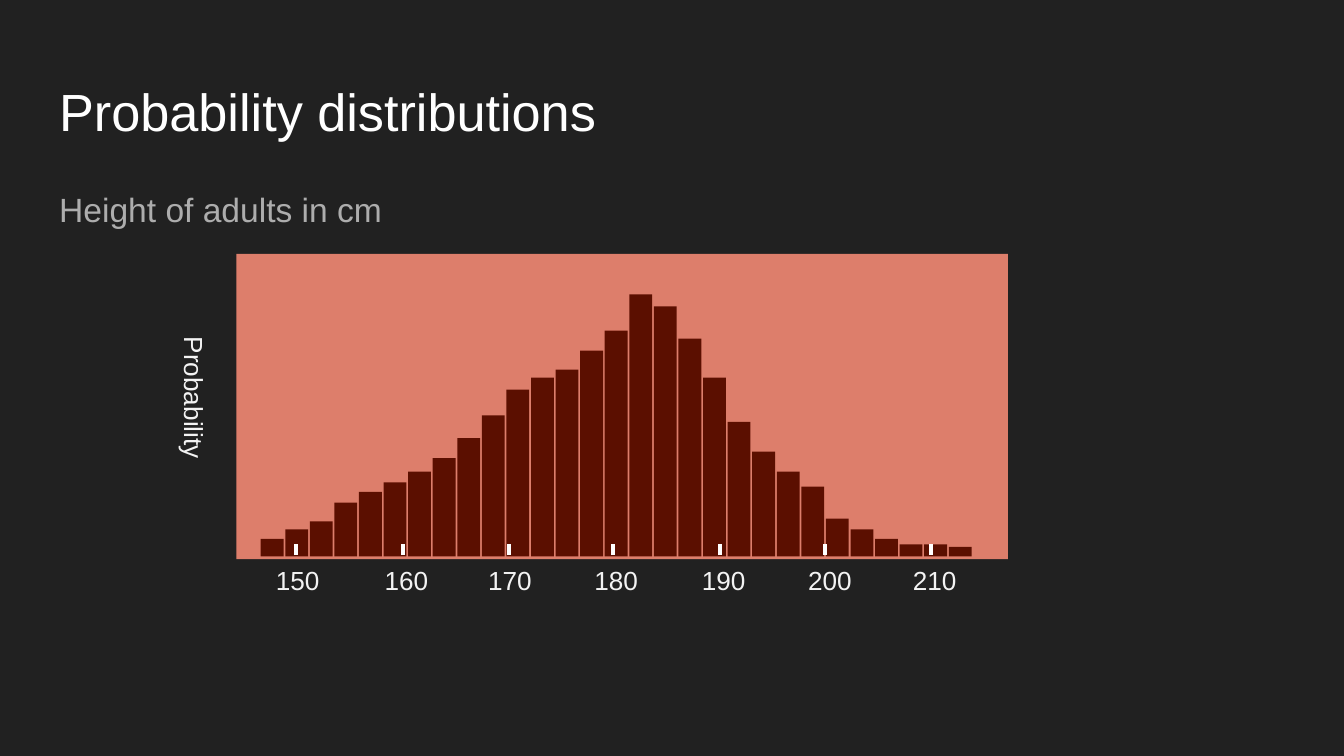
from pptx import Presentation
from pptx.dml.color import RGBColor
from pptx.enum.shapes import MSO_CONNECTOR, MSO_SHAPE
from pptx.enum.text import MSO_ANCHOR, MSO_AUTO_SIZE, PP_ALIGN
from pptx.oxml.ns import qn
from pptx.util import Inches, Pt
from lxml import etree

RECTANGLE = MSO_SHAPE.RECTANGLE
STRAIGHT = MSO_CONNECTOR.STRAIGHT
TOP = MSO_ANCHOR.TOP
NO_AUTOFIT = MSO_AUTO_SIZE.NONE
LEFT, CENTER = PP_ALIGN.LEFT, PP_ALIGN.CENTER


def color(hex_string):
    return RGBColor.from_string(hex_string)


def write(box, place, text, size, text_color, align):
    box.left, box.top, box.width, box.height = [Inches(v) for v in place]
    frame = box.text_frame
    frame.word_wrap = True
    frame.auto_size = NO_AUTOFIT
    frame.vertical_anchor = TOP
    frame.margin_left = frame.margin_right = Inches(0.1)
    frame.margin_top = frame.margin_bottom = Inches(0.1)
    para = frame.paragraphs[0]
    para.alignment = align
    para.space_before = Pt(0)
    span = para.add_run()
    span.text = text
    span.font.name = "Arial"
    span.font.size = Pt(size)
    span.font.color.rgb = color(text_color)
    return para


deck = Presentation()
deck.slide_width = Inches(10)
deck.slide_height = Inches(10) * 9 // 16
page = deck.slides.add_slide(deck.slide_layouts[1])
page.background.fill.solid()
page.background.fill.fore_color.rgb = color("212121")

write(page.shapes.title, (0.34, 0.49, 9.32, 0.63),
      "Probability distributions", 28, "FFFFFF", LEFT)
subtitle = write(page.placeholders[1], (0.34, 1.26, 9.32, 0.63),
                 "Height of adults in cm", 18, "ADADAD", LEFT)
subtitle.line_spacing = 1.15
properties = subtitle._p.get_or_add_pPr()
properties.set("marL", "0")
properties.set("indent", "0")
etree.SubElement(properties, qn("a:buNone"))

baseline = 4.14
bar_left, bar_step, bar_width = 1.94, 5.12 / 28, 0.17
bar_heights = [
    0.13, 0.2, 0.26, 0.4, 0.48, 0.55, 0.63, 0.73, 0.88, 1.05,
    1.24, 1.33, 1.39, 1.53, 1.68, 1.95, 1.86, 1.62, 1.33, 1,
    0.78, 0.63, 0.52, 0.28, 0.2, 0.13, 0.09, 0.09, 0.07,
]
rectangles = [(1.76, 1.89, 5.74, 2.27, "DD7E6B")]
for index, height in enumerate(bar_heights):
    rectangles.append((bar_left + index * bar_step, baseline - height,
                       bar_width, height, "5B0F00"))
for left, top, width, height, fill in rectangles:
    bar = page.shapes.add_shape(RECTANGLE, Inches(left), Inches(top),
                                Inches(width), Inches(height))
    bar.shadow.inherit = False
    bar.fill.solid()
    bar.fill.fore_color.rgb = color(fill)
    bar.line.fill.background()

axis_marks = [
    ("150", 2.2, 1.88), ("160", 3, 2.69), ("170", 3.79, 3.46), ("180", 4.56, 4.25),
    ("190", 5.36, 5.05), ("200", 6.14, 5.84), ("210", 6.93, 6.62),
]
for value, tick_left, label_left in axis_marks:
    tick_x = Inches(tick_left)
    tick = page.shapes.add_connector(STRAIGHT, tick_x, Inches(4.13),
                                     tick_x, Inches(4.05))
    tick.line.color.rgb = color("FFFFFF")
    tick.line.width = Pt(2.25)
    etree.SubElement(tick._element.spPr, qn("a:effectLst"))
    label = page.shapes.add_textbox(0, 0, 0, 0)
    write(label, (label_left, 4.1, 0.67, 0.52), value, 14, "F3F3F3", CENTER)

axis_title = page.shapes.add_textbox(0, 0, 0, 0)
write(axis_title, (0.64, 2.7, 1.53, 0.52), "Probability", 14, "F3F3F3", CENTER)
axis_title.rotation = 90

deck.save("out.pptx")
